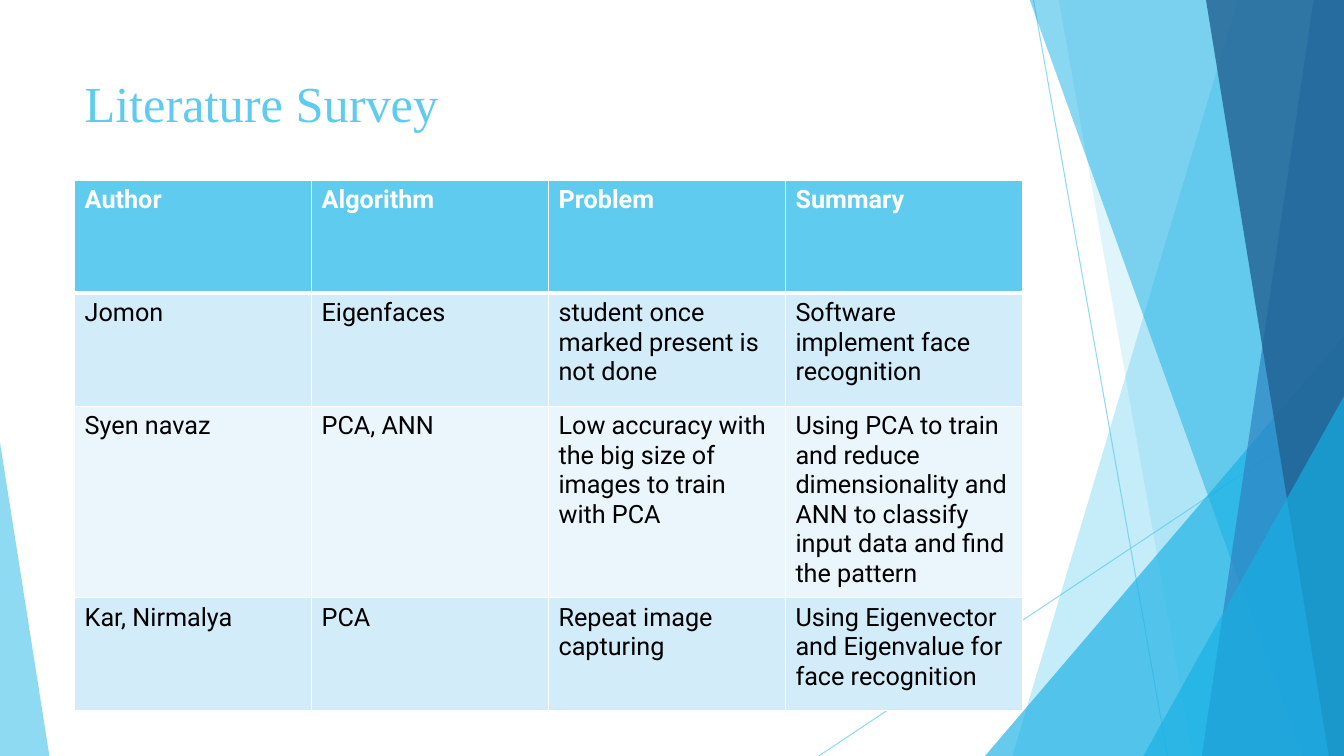
from lxml import etree
from pptx import Presentation
from pptx.dml.color import RGBColor
from pptx.enum import shapes, text
from pptx.oxml import ns
from pptx.util import Inches, Pt

SKY = RGBColor(0x5F, 0xCB, 0xEF)
CYAN = RGBColor(0x17, 0xB0, 0xE4)
BLUE = RGBColor(0x2E, 0x83, 0xC3)
NAVY = RGBColor(0x22, 0x62, 0x92)
PALE = RGBColor(0xD2, 0xEC, 0xF9)
PALER = RGBColor(0xEA, 0xF6, 0xFC)
WHITE = RGBColor(0xFF, 0xFF, 0xFF)
BLACK = RGBColor(0, 0, 0)

WIDTH, HEIGHT = 13.33, 7.5
TITLE = "Literature Survey"
SURVEY = [
    ("Author", "Algorithm", "Problem", "Summary"),
    ("Jomon", "Eigenfaces", "student once marked present is not done",
     "Software implement face recognition"),
    ("Syen navaz", "PCA, ANN",
     "Low accuracy with the big size of images to train with PCA",
     "Using PCA to train and reduce dimensionality and ANN to classify "
     "input data and find the pattern"),
    ("Kar, Nirmalya", "PCA", "Repeat image capturing",
     "Using Eigenvector and Eigenvalue for face recognition"),
]
ROW_HEIGHTS = (1.12, 1.12, 1.86, 1.12)
COLUMN_WIDTH = 2.35
LEFT, TABLE_TOP = 0.74, 1.79

RAYS = [((10.25, 0), (11.58, HEIGHT)), ((WIDTH, 4.03), (8.12, HEIGHT))]


def band(top_left, bottom_left):
    return [(top_left, -0.01), (WIDTH, -0.01), (WIDTH, HEIGHT), (bottom_left, HEIGHT)]


def right_wedge(left, top):
    return [(left, HEIGHT), (WIDTH, top), (WIDTH, HEIGHT)]


FACETS = [
    (band(12.28, 10.04), SKY, 36),
    (band(10.5, 11.83), SKY, 20),
    (right_wedge(9.77, 3.33), CYAN, 66),
    (band(10.21, 12.91), CYAN, 50),
    (band(13.03, 11.92), BLUE, 70),
    (band(11.96, 13.18), NAVY, 80),
    (right_wedge(11.34, 3.93), CYAN, 66),
    ([(0, HEIGHT), (0, 4.39), (0.49, HEIGHT)], SKY, 70),
]


def write(frame, words, font="Roboto", size=18, color=BLACK, bold=False):
    frame.word_wrap = True
    run = frame.paragraphs[0].add_run()
    run.text = words
    run.font.name = font
    run.font.size = Pt(size)
    run.font.color.rgb = color
    run.font.bold = bold


def set_opacity(fill_owner, percent):
    for color in fill_owner.iter(ns.qn("a:srgbClr")):
        etree.SubElement(color, ns.qn("a:alpha"), val=str(percent * 1000))


def add_ray(slide, start, end):
    ray = slide.shapes.add_connector(
        shapes.MSO_CONNECTOR.STRAIGHT, *map(Inches, start + end))
    ray.line.color.rgb = SKY
    ray.line.width = Pt(0.75)
    properties = ray._element.spPr
    set_opacity(properties, 70)
    etree.SubElement(properties, ns.qn("a:effectLst"))


def add_facet(slide, corners, color, opacity):
    points = [(Inches(x), Inches(y)) for x, y in corners]
    outline = slide.shapes.build_freeform(*points[0], scale=1.0)
    outline.add_line_segments(points[1:], close=True)
    facet = outline.convert_to_shape()
    facet.shadow.inherit = False
    facet.fill.solid()
    facet.fill.fore_color.rgb = color
    facet.line.fill.background()
    set_opacity(facet._element.spPr, opacity)


def add_border(cell, side, points):
    edge = etree.SubElement(cell._tc.get_or_add_tcPr(), ns.qn("a:ln" + side),
                            w=str(Pt(points)))
    paint = etree.SubElement(edge, ns.qn("a:solidFill"))
    etree.SubElement(paint, ns.qn("a:srgbClr"), val=str(WHITE))


def add_survey(slide):
    columns = len(SURVEY[0])
    survey = slide.shapes.add_table(
        len(SURVEY), columns, Inches(LEFT), Inches(TABLE_TOP),
        Inches(COLUMN_WIDTH * columns), Inches(sum(ROW_HEIGHTS))).table
    for column in survey.columns:
        column.width = Inches(COLUMN_WIDTH)
    for r, entries in enumerate(SURVEY):
        survey.rows[r].height = Inches(ROW_HEIGHTS[r])
        header = r == 0
        shade = SKY if header else PALE if r % 2 else PALER
        for c, entry in enumerate(entries):
            cell = survey.cell(r, c)
            write(cell.text_frame, entry, bold=header,
                  color=WHITE if header else BLACK)
            for side in "LRTB":
                heavy = (side == "B" and header) or (side == "T" and r == 1)
                add_border(cell, side, 3 if heavy else 1)
            cell.fill.solid()
            cell.fill.fore_color.rgb = shade


def main():
    deck = Presentation()
    deck.slide_width, deck.slide_height = Inches(WIDTH), Inches(HEIGHT)
    slide = deck.slides.add_slide(deck.slide_layouts[6])
    for start, end in RAYS:
        add_ray(slide, start, end)
    for corners, color, opacity in FACETS:
        add_facet(slide, corners, color, opacity)
    title = slide.shapes.add_textbox(
        Inches(LEFT), Inches(0.67), Inches(9.4), Inches(1.44)).text_frame
    title.vertical_anchor = text.MSO_ANCHOR.TOP
    write(title, TITLE, font="Times New Roman", size=36, color=SKY)
    add_survey(slide)
    deck.save("out.pptx")


if __name__ == "__main__":
    main()
